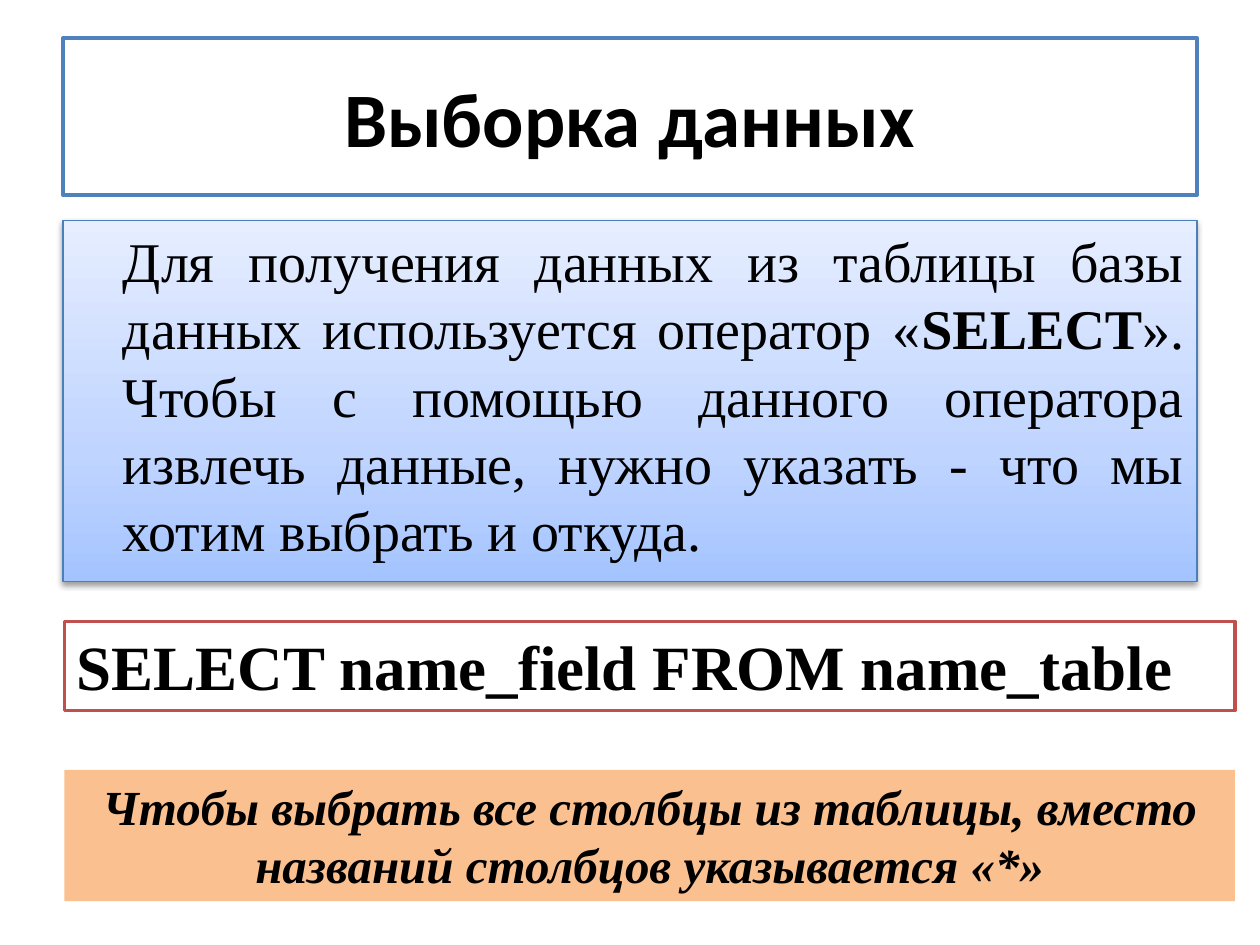
from lxml.etree import SubElement
from pptx import Presentation
from pptx.dml.color import RGBColor
from pptx.enum.shapes import MSO_SHAPE
from pptx.enum.text import MSO_ANCHOR, PP_ALIGN
from pptx.oxml.ns import qn
from pptx.util import Pt

THEME = {
    "text": "000000", "white": "FFFFFF", "blue": "4F81BD", "red": "C0504D",
    "orange": "FAC090", "gradient_line": "4B7EBC",
    "gradient": [(0, "A4C4FF"), (35, "BFD4FF"), (100, "E6EEFF")],
    "heading_font": "Calibri", "body_font": "Times New Roman",
    "title": 44, "body": 32, "code": 36, "note": 28,
}

# Each run is (text, bold, italic).
TITLE = [("Выборка данных", True, False)]
BODY = [
    ("Для получения данных из таблицы базы данных используется оператор «", False, False),
    ("SELECT", True, False),
    ("». Чтобы с помощью данного оператора извлечь данные, нужно указать - "
     "что мы хотим выбрать и откуда.", False, False),
]
CODE = [("SELECT name_field FROM name_table", True, False)]
NOTE = [("Чтобы выбрать все столбцы из таблицы, вместо названий столбцов "
         "указывается «*»", True, True)]

LEFT, WIDTH = 36, 648
LOWER_LEFT, LOWER_WIDTH = 36.75, 669


def color(name):
    return RGBColor.from_string(THEME[name])


def add_panel(page, bounds, runs, size, font="body_font", fill=None, line=None,
              line_width=2, align=PP_ALIGN.LEFT, anchor=MSO_ANCHOR.TOP):
    box = page.shapes.add_shape(MSO_SHAPE.RECTANGLE, *map(Pt, bounds))
    box.shadow.inherit = False
    if fill:
        box.fill.solid()
        box.fill.fore_color.rgb = color(fill)
    if line:
        box.line.color.rgb = color(line)
        box.line.width = Pt(line_width)
    else:
        box.line.fill.background()
    frame = box.text_frame
    frame.word_wrap = True
    frame.vertical_anchor = anchor
    para = frame.paragraphs[0]
    para.alignment = align
    for text, bold, italic in runs:
        span = para.add_run()
        span.text = text
        span.font.name = THEME[font]
        span.font.size = Pt(THEME[size])
        span.font.bold, span.font.italic = bold, italic
        span.font.color.rgb = color("text")
    return box


def add_color(parent, value):
    return SubElement(parent, qn("a:srgbClr"), val=value)


def set_gradient(box, stops):
    """Fill the box from bottom to top with any number of stops."""
    box.fill.gradient()
    box.fill.gradient_angle = 90
    stop_list = box._element.spPr.find(".//" + qn("a:gsLst"))
    for stop in list(stop_list):
        stop_list.remove(stop)
    for percent, value in stops:
        add_color(SubElement(stop_list, qn("a:gs"), pos=str(percent * 1000)), value)


def set_shadow(box, blur, distance, opacity):
    """Drop a shadow straight down."""
    effects = box._element.spPr.find(qn("a:effectLst"))
    shadow = SubElement(effects, qn("a:outerShdw"), blurRad=str(Pt(blur)),
                        dist=str(Pt(distance)), dir="5400000", rotWithShape="0")
    SubElement(add_color(shadow, THEME["text"]), qn("a:alpha"), val=str(opacity * 1000))


def main():
    deck = Presentation()
    deck.slide_width, deck.slide_height = Pt(720), Pt(540)
    page = deck.slides.add_slide(deck.slide_layouts[6])

    add_panel(page, (LEFT, 21.6, WIDTH, 90), TITLE, "title", "heading_font",
              "white", "blue", align=PP_ALIGN.CENTER, anchor=MSO_ANCHOR.MIDDLE)
    body = add_panel(page, (LEFT, 126, WIDTH, 206.5), BODY, "body",
                     line="gradient_line", line_width=0.75, align=PP_ALIGN.JUSTIFY)
    body.text_frame.margin_left = Pt(7.2 + 27)
    set_gradient(body, THEME["gradient"])
    set_shadow(body, blur=3.1, distance=1.6, opacity=38)
    add_panel(page, (LOWER_LEFT, 355, LOWER_WIDTH, 51), CODE, "code",
              fill="white", line="red")
    add_panel(page, (LOWER_LEFT, 440, LOWER_WIDTH, 75), NOTE, "note",
              fill="orange", align=PP_ALIGN.CENTER)

    deck.save("out.pptx")


if __name__ == "__main__":
    main()
